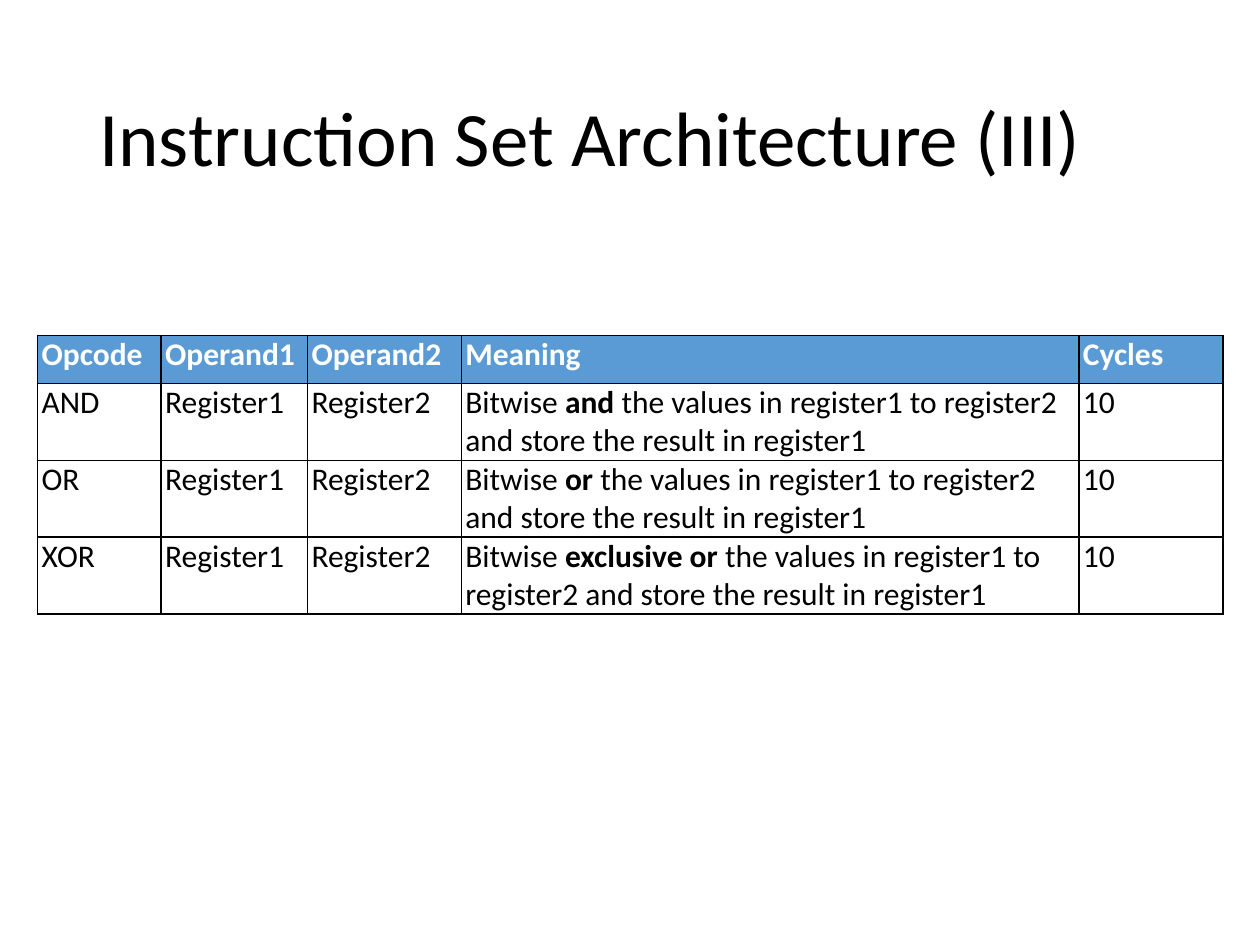
"""Build the instruction set architecture slide with its opcode table."""
from lxml.etree import SubElement
from pptx import Presentation
from pptx.dml.color import RGBColor
from pptx.enum.text import MSO_ANCHOR
from pptx.oxml.ns import qn
from pptx.util import Cm, Pt

COLORS = {"text": "000000", "header": "5B9BD5", "header_text": "FFFFFF", "border": "000000"}


class SlideBuilder:
    def __init__(self, slide, font_name="Calibri"):
        self.slide = slide
        self.font_name = font_name

    def style(self, paragraph, size, color, bold=False):
        font = paragraph.font
        font.name, font.size, font.bold = self.font_name, Pt(size), bold
        font.color.rgb = RGBColor.from_string(COLORS[color])

    def title(self, text, left, top, width, height):
        box = self.slide.shapes.add_textbox(Cm(left), Cm(top), Cm(width), Cm(height))
        frame = box.text_frame
        frame.word_wrap = True
        frame.vertical_anchor = MSO_ANCHOR.MIDDLE
        paragraph = frame.paragraphs[0]
        paragraph.text = text
        paragraph.line_spacing = 0.9
        self.style(paragraph, 44, "text")

    def border(self, cell):
        properties = cell._tc.get_or_add_tcPr()
        for index, side in enumerate(("lnL", "lnR", "lnT", "lnB")):
            line = properties.makeelement(qn(f"a:{side}"), {"w": str(Pt(1))})
            fill = SubElement(line, qn("a:solidFill"))
            SubElement(fill, qn("a:srgbClr"), val=COLORS["border"])
            properties.insert(index, line)

    def cell(self, cell, text, is_header):
        cell.margin_left = cell.margin_right = Cm(0.08)
        cell.margin_top = cell.margin_bottom = 0
        if is_header:
            cell.fill.solid()
            cell.fill.fore_color.rgb = RGBColor.from_string(COLORS["header"])
        else:
            cell.fill.background()
        paragraph = cell.text_frame.paragraphs[0]
        self.style(paragraph, 18, "header_text" if is_header else "text", is_header)
        for index, part in enumerate(text.split("*")):
            run = paragraph.add_run()
            run.text = part
            if index % 2:
                run.font.bold = True
        self.border(cell)

    def table(self, rows, left, top, widths, heights):
        frame = self.slide.shapes.add_table(
            len(rows), len(widths), Cm(left), Cm(top), Cm(sum(widths)), Cm(sum(heights)))
        table = frame.table
        table.first_row = table.horz_banding = False
        for column, width in zip(table.columns, widths):
            column.width = Cm(width)
        for index, (row, height) in enumerate(zip(rows, heights)):
            table.rows[index].height = Cm(height)
            for column, text in enumerate(row):
                self.cell(table.cell(index, column), text, index == 0)


presentation = Presentation()
presentation.slide_width, presentation.slide_height = Cm(25.4), Cm(19.05)
builder = SlideBuilder(presentation.slides.add_slide(presentation.slide_layouts[6]))

builder.title("Instruction Set Architecture (III)", 1.75, 1.02, 21.9, 3.68)

operations = {
    "AND": "Bitwise *and* the values in register1 to register2",
    "OR": "Bitwise *or* the values in register1 to register2",
    "XOR": "Bitwise *exclusive or* the values in register1 to register2",
}
rows = [("Opcode", "Operand1", "Operand2", "Meaning", "Cycles")]
rows += [(opcode, "Register1", "Register2", f"{meaning} and store the result in register1", "10")
         for opcode, meaning in operations.items()]
builder.table(rows, 0.76, 6.76, [2.49, 2.95, 3.1, 12.45, 2.9], [0.97] + [1.55] * len(operations))

presentation.save("out.pptx")
